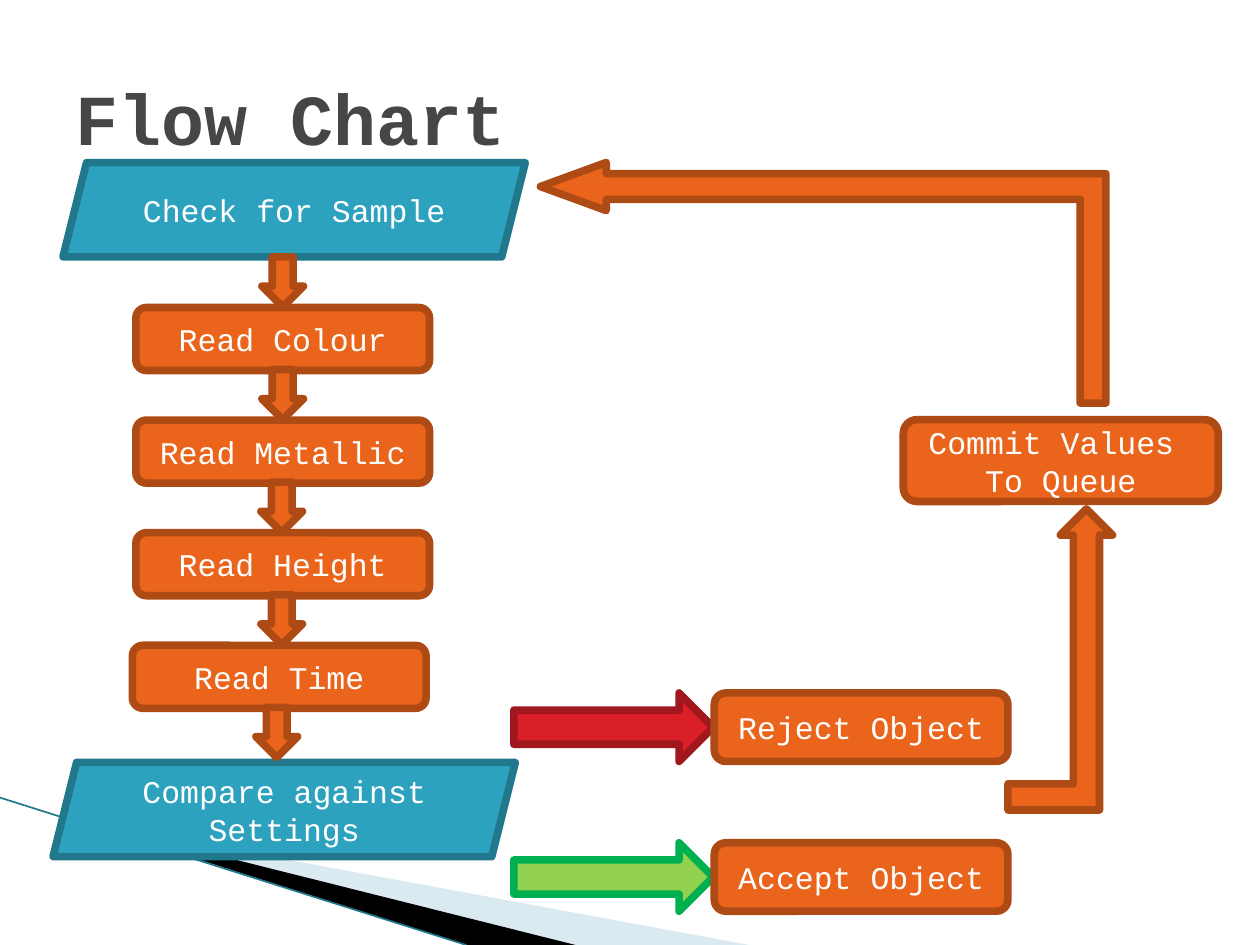
from dataclasses import dataclass

from lxml import etree
from pptx import Presentation
from pptx import util as u
from pptx.dml.color import RGBColor
from pptx.enum import shapes, text
from pptx.oxml.ns import qn

KIND = shapes.MSO_SHAPE


@dataclass(frozen=True)
class Theme:
    """Colours, type sizes and line widths; a pair is fill and outline."""
    font: str = "Courier New"
    title_size: int = 41
    label_size: int = 18
    outline: float = 4.33
    hairline: float = 0.95
    ink: str = "464646"
    label: str = "FFFFFF"
    orange: tuple = ("EB641B", "AE4A14")
    teal: tuple = ("2DA2BF", "21788D")
    red: tuple = ("DA1F28", "A1171E")
    green: tuple = ("92D050", "00B050")
    mist: str = "A0CBDC"
    black: str = "000000"


class FlowPage:
    """Draws the elements of a flow chart on one page, in centimetres."""

    def __init__(self, page, theme):
        """Keep the page and its style."""
        self.page, self.theme = page, theme

    def set_text(self, frame, lines, size, colour, align, bold=False):
        """Fill a text frame with one paragraph for each line."""
        frame.word_wrap = True
        frame.vertical_anchor = text.MSO_ANCHOR.MIDDLE
        for index, line in enumerate(lines):
            para = frame.add_paragraph() if index else frame.paragraphs[0]
            para.text, para.alignment = line, align
            para.font.name, para.font.size = self.theme.font, u.Pt(size)
            para.font.bold = bold
            para.font.color.rgb = RGBColor.from_string(colour)

    def title(self, words, *place):
        """Add the heading."""
        box = self.page.shapes.add_textbox(*map(u.Cm, place))
        self.set_text(box.text_frame, [words], self.theme.title_size,
                      self.theme.ink, text.PP_ALIGN.LEFT, bold=True)

    def block(self, kind, place, colours, *lines, turn=0, adjust=()):
        """Add an outlined preset shape, with centred text if given."""
        shape = self.page.shapes.add_shape(kind, *map(u.Cm, place))
        shape.shadow.inherit = False
        shape.rotation = turn
        for index, value in enumerate(adjust):
            shape.adjustments[index] = value
        fill, edge = map(RGBColor.from_string, colours)
        shape.fill.solid()
        shape.fill.fore_color.rgb = fill
        shape.line.color.rgb = edge
        shape.line.width = u.Pt(self.theme.outline)
        outline = shape._element.spPr.find(qn("a:ln"))
        etree.SubElement(outline, qn("a:round"))
        if lines:
            self.set_text(shape.text_frame, lines, self.theme.label_size,
                          self.theme.label, text.PP_ALIGN.CENTER)

    def wedge(self, points, colour, opacity=100):
        """Add a closed outline without a border."""
        start, *rest = [(u.Cm(x), u.Cm(y)) for x, y in points]
        builder = self.page.shapes.build_freeform(*start)
        builder.add_line_segments(rest, close=True)
        shape = builder.convert_to_shape()
        shape.shadow.inherit = False
        shape.fill.solid()
        shape.fill.fore_color.rgb = RGBColor.from_string(colour)
        shape.line.fill.background()
        if opacity < 100:
            tint = shape._element.spPr.find(".//" + qn("a:srgbClr"))
            etree.SubElement(tint, qn("a:alpha"), val=str(opacity * 1000))

    def rule(self, start, end, colour):
        """Add a thin straight line."""
        line = self.page.shapes.add_connector(
            shapes.MSO_CONNECTOR.STRAIGHT, *map(u.Cm, start + end))
        line.line.color.rgb = RGBColor.from_string(colour)
        line.line.width = u.Pt(self.theme.hairline)
        etree.SubElement(line._element.spPr, qn("a:effectLst"))


def draw_backdrop(flow):
    """Draw the sweeping wedges in the lower left corner."""
    theme = flow.theme
    flow.wedge([(1.4, 16.52), (15.1, 19.05), (11.58, 19.05)], theme.mist, 40)
    flow.wedge([(1.35, 16.48), (11.6, 19.05), (9.4, 19.05)], theme.black)
    flow.rule((0, 16.08), (9.4, 19.05), theme.teal[1])


def draw_readings(flow):
    """Draw the column of readings between the two teal stages."""
    theme = flow.theme
    stage = (9.32, 1.9)
    pitch, first_arrow, first_box = 2.27, 5.18, 6.2
    flow.block(KIND.PARALLELOGRAM, (1.27, 3.28, *stage), theme.teal,
               "Check for Sample")
    flow.block(KIND.PARALLELOGRAM, (1.07, 15.37, *stage), theme.teal,
               "Compare against Settings")
    steps = [("Read Colour", 5.28, 2.74), ("Read Metallic", 5.28, 2.74),
             ("Read Height", 5.26, 2.74), ("Read Time", 5.26, 2.67),
             (None, 5.16, None)]
    for row, (label, arrow_left, box_left) in enumerate(steps):
        drop = row * pitch
        flow.block(KIND.DOWN_ARROW,
                   (arrow_left, first_arrow + drop, 0.84, 1.01), theme.orange)
        if label:
            flow.block(KIND.ROUNDED_RECTANGLE,
                       (box_left, first_box + drop, 5.92, 1.27),
                       theme.orange, label)


def draw_outcomes(flow):
    """Draw the two verdicts and the way back to the start."""
    theme = flow.theme
    for label, top, colours in (("Reject Object", 13.97, theme.red),
                                ("Accept Object", 16.99, theme.green)):
        flow.block(KIND.RIGHT_ARROW, (10.36, top, 4.02, 1.38), colours)
        flow.block(KIND.ROUNDED_RECTANGLE, (14.4, top, 5.92, 1.38),
                   theme.orange, label)
    flow.block(KIND.BENT_UP_ARROW, (20.32, 10.26, 2.11, 6.07), theme.orange)
    flow.block(KIND.ROUNDED_RECTANGLE, (18.21, 8.46, 6.35, 1.65),
               theme.orange, "Commit Values ", "To Queue")
    flow.block(KIND.BENT_UP_ARROW, (14.17, 0, 4.85, 11.4), theme.orange,
               turn=270, adjust=(0.107, 0.1, 0.274))


def main():
    """Build and save the deck."""
    deck = Presentation()
    deck.slide_width, deck.slide_height = u.Cm(25.4), u.Cm(19.05)
    flow = FlowPage(deck.slides.add_slide(deck.slide_layouts[6]), Theme())
    draw_backdrop(flow)
    flow.title("Flow Chart", 1.27, 0.76, 22.86, 3.18)
    draw_readings(flow)
    draw_outcomes(flow)
    deck.save("out.pptx")


main()
